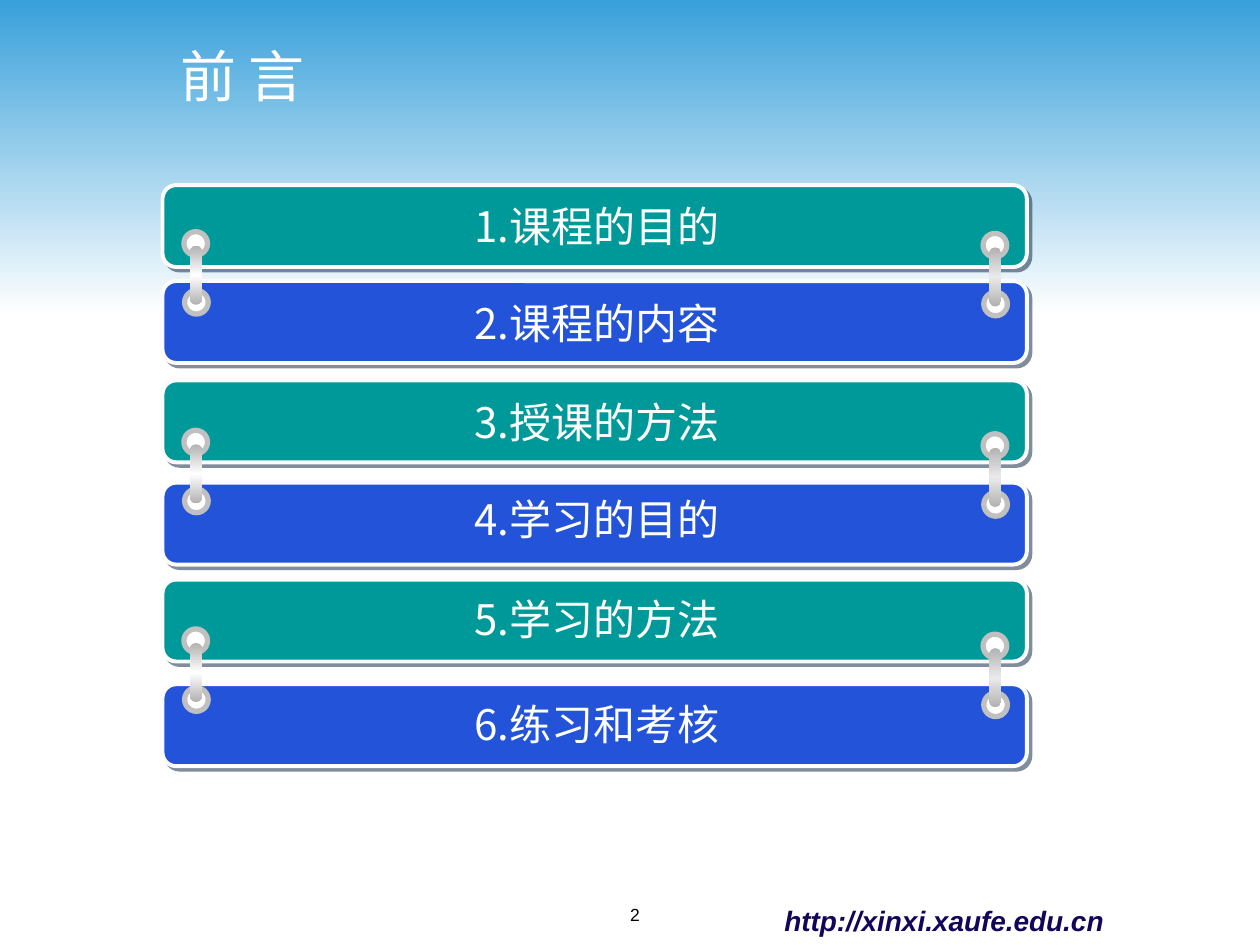
from pptx import Presentation
from pptx.dml.color import RGBColor
from pptx.enum.shapes import MSO_SHAPE as SHAPE
from pptx.enum.text import MSO_ANCHOR as ANCHOR, PP_ALIGN as ALIGN
from pptx.oxml import parse_xml
from pptx.oxml.ns import nsdecls
from pptx.util import Pt

rgb = RGBColor.from_string
CJK = "Noto Sans CJK SC"
SHADOW = (f'<a:effectLst {nsdecls("a")}><a:outerShdw dist="35560" dir="2700000" algn="ctr" '
          'rotWithShape="0"><a:srgbClr val="{}"><a:alpha val="{}"/></a:srgbClr>'
          '</a:outerShdw></a:effectLst>')


def add_shape(shapes, kind, x, y, w, h, fill, line=None, width=0, adj=None, shadow=None):
    """Draw a preset shape; a list of colours as fill gives a top-down gradient."""
    sp = shapes.add_shape(kind, Pt(x), Pt(y), Pt(w), Pt(h))
    if adj is not None:
        sp.adjustments[0] = adj
    if isinstance(fill, list):
        stops = "".join(
            f'<a:gs pos="{100000 * i // (len(fill) - 1)}"><a:srgbClr val="{c}"/></a:gs>'
            for i, c in enumerate(fill))
        sp.element.spPr.append(parse_xml(
            f'<a:gradFill {nsdecls("a")} rotWithShape="1"><a:gsLst>{stops}</a:gsLst>'
            '<a:lin ang="5400000" scaled="1"/></a:gradFill>'))
    else:
        sp.fill.solid()
        sp.fill.fore_color.rgb = rgb(fill)
    if line:
        sp.line.color.rgb = rgb(line)
        sp.line.width = Pt(width)
    else:
        sp.line.fill.background()
    if shadow:
        sp.element.spPr.append(parse_xml(shadow))
    else:
        sp.shadow.inherit = False
    return sp


def add_text(text, x, y, w, h, size, color, font=CJK, align=ALIGN.LEFT,
             bold=False, italic=False, shadow=None):
    tf = s.shapes.add_textbox(Pt(x), Pt(y), Pt(w), Pt(h)).text_frame
    tf.word_wrap = True
    tf.vertical_anchor = ANCHOR.MIDDLE
    p = tf.paragraphs[0]
    p.alignment = align
    r = p.add_run()
    r.text = text
    r.font.size, r.font.bold, r.font.italic = Pt(size), bold, italic
    r.font.color.rgb = rgb(color)
    rPr = r.font._element if hasattr(r.font, "_element") else r._r.get_or_add_rPr()
    if shadow:
        rPr.append(parse_xml(shadow))
    r.font.name = font
    rPr.append(parse_xml(f'<a:ea {nsdecls("a")} typeface="{font}"/>'))


prs = Presentation()
prs.slide_width, prs.slide_height = Pt(720), Pt(540)
s = prs.slides.add_slide(prs.slide_layouts[6])

add_shape(s.shapes, SHAPE.RECTANGLE, 0, 0, 720, 180, ["38A0DA", "FFFFFF"])
add_text("前 言", 95.8, 23.8, 558, 38, 32, "FFFFFF")

# Agenda bars: text, bar top, label top
items = [
    ("1.课程的目的", 105.8, 110.9),
    ("2.课程的内容", 160.6, 166.3),
    ("3.授课的方法", 217.4, 223.2),
    ("4.学习的目的", 275.8, 278.6),
    ("5.学习的方法", 331.2, 335.5),
    ("6.练习和考核", 391, 395.3),
]
for i, (label, bar_y, label_y) in enumerate(items):
    add_shape(s.shapes, SHAPE.ROUNDED_RECTANGLE, 92.9, bar_y, 493.9, 46.8,
              ["009999", "2353D9"][i % 2], "FCFCFC", 2.25, 0.167,
              SHADOW.format("001D3A", 50000))
    add_text(label, 169.9, label_y, 342.7, 36, 24, "FFFFFF", align=ALIGN.CENTER,
             shadow=SHADOW.format("000000", 70000))

# Binder rings joining each pair of bars: left, first top, step, middle colour
for x, top, step, shine in [(561.8, 133.4, 114.5, "EAEAEA"), (105.1, 132.4, 113.5, "FFFFFF")]:
    for pair in range(3):
        y = top + pair * step
        ring = s.shapes.add_group_shape().shapes
        for dx, dy in [(0, 0), (0.4, 33.6)]:
            add_shape(ring, SHAPE.OVAL, x + dx, y + dy, 13.5, 13.5, "FFFFFF", "C0C0C0", 3)
        add_shape(ring, SHAPE.ROUNDED_RECTANGLE, x + 3.6, y + 8, 6.7, 33.8,
                  ["B2B2B2", shine, "B2B2B2"], adj=0.5)

add_text("http://xinxi.xaufe.edu.cn", 422.6, 511.9, 215.3, 28, 16, "130658", "Arial",
         ALIGN.RIGHT, bold=True, italic=True)
add_text("2", 329.8, 511.9, 66.2, 20.9, 10, "000000", "Arial", ALIGN.CENTER)

prs.save("out.pptx")
